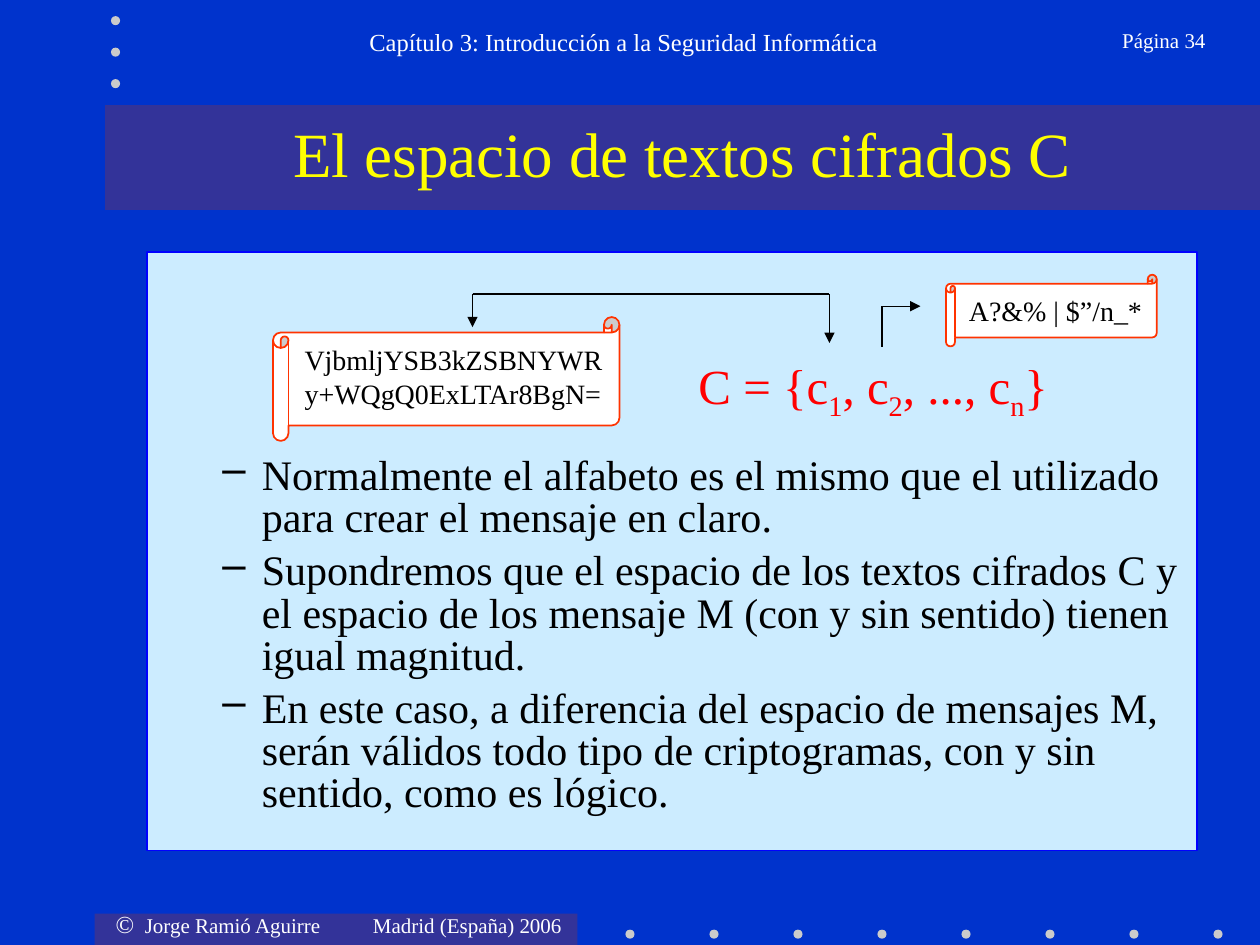
from dataclasses import dataclass

import lxml.etree
import pptx
import pptx.dml.color
import pptx.enum.shapes
import pptx.enum.text
import pptx.oxml.ns
import pptx.util

Pt = pptx.util.Pt
Shape = pptx.enum.shapes.MSO_SHAPE
Align = pptx.enum.text.PP_ALIGN
Anchor = pptx.enum.text.MSO_ANCHOR
qn = pptx.oxml.ns.qn


@dataclass(frozen=True)
class Theme:
    font: str = "Times New Roman"
    background: str = "0033CC"
    band: str = "333399"
    dot: str = "CBCBCB"
    panel: str = "CCECFF"
    panel_line: str = "0000FF"
    scroll: str = "FFFFFF"
    scroll_line: str = "FF3300"
    light: str = "FFFFFF"
    dark: str = "000000"
    title: str = "FFFF00"
    formula: str = "FF0000"
    title_size: int = 36
    formula_size: int = 28
    bullet_size: int = 24
    scroll_size: int = 16
    header_size: int = 14
    small_size: int = 12


THEME = Theme()

BULLETS = [
    "Normalmente el alfabeto es el mismo que el utilizado para crear el mensaje en claro.",
    "Supondremos que el espacio de los textos cifrados C y el espacio de los mensaje M "
    "(con y sin sentido) tienen igual magnitud.",
    "En este caso, a diferencia del espacio de mensajes M, serán válidos todo tipo de "
    "criptogramas, con y sin sentido, como es lógico.",
]
FORMULA = [("C = {c", False), ("1", True), (", c", False), ("2", True),
           (", ..., c", False), ("n", True), ("}", False)]


def rgb(value):
    return pptx.dml.color.RGBColor.from_string(value)


def add_figure(page, kind, bounds, fill, line=None, weight=0.75):
    figure = page.shapes.add_shape(kind, *map(Pt, bounds))
    figure.shadow.inherit = False
    figure.fill.solid()
    figure.fill.fore_color.rgb = rgb(fill)
    if line:
        figure.line.color.rgb = rgb(line)
        figure.line.width = Pt(weight)
    else:
        figure.line.fill.background()
    return figure


def set_frame(box, insets=(7.2, 3.6, 7.2, 3.6), anchor=Anchor.TOP, wrap=True):
    frame = box.text_frame
    frame.word_wrap = wrap
    frame.vertical_anchor = anchor
    (frame.margin_left, frame.margin_top,
     frame.margin_right, frame.margin_bottom) = map(Pt, insets)
    return frame


def add_span(para, text, size, color, subscript=False):
    span = para.add_run()
    span.text = text
    span.font.name = THEME.font
    span.font.size = Pt(size)
    span.font.color.rgb = rgb(color)
    if subscript:
        span.font._element.set("baseline", "-25000")


def add_label(page, bounds, text, size, color, align=Align.LEFT, anchor=Anchor.TOP):
    box = page.shapes.add_textbox(*map(Pt, bounds))
    para = set_frame(box, anchor=anchor).paragraphs[0]
    para.alignment = align
    add_span(para, text, size, color)


def add_dash(para, indent, hanging):
    properties = para._p.get_or_add_pPr()
    properties.set("marL", str(Pt(indent)))
    properties.set("indent", str(-Pt(hanging)))
    color = lxml.etree.SubElement(properties, qn("a:buClr"))
    lxml.etree.SubElement(color, qn("a:srgbClr"), val=THEME.dark)
    lxml.etree.SubElement(properties, qn("a:buChar"), char="–")


def add_line(page, start, end, arrow=False):
    line = page.shapes.add_connector(
        pptx.enum.shapes.MSO_CONNECTOR.STRAIGHT, *map(Pt, start + end))
    line.line.color.rgb = rgb(THEME.dark)
    line.line.width = Pt(0.75)
    properties = line._element.spPr
    if arrow:
        lxml.etree.SubElement(properties.find(qn("a:ln")), qn("a:tailEnd"), type="triangle")
    lxml.etree.SubElement(properties, qn("a:effectLst"))


def add_decoration(page):
    add_figure(page, Shape.RECTANGLE, (54, 522, 276, 18), THEME.band)
    add_figure(page, Shape.RECTANGLE, (60, 60, 660, 60), THEME.band)
    bottom_dots = [(357.4 + 48 * i, 531.2) for i in range(8)]
    side_dots = [(63.4, 9.2 + 18 * i) for i in range(3)]
    for left, top in bottom_dots + side_dots:
        add_figure(page, Shape.OVAL, (left, top, 5.2, 5.2), THEME.dot)


def add_footer(page):
    box = page.shapes.add_textbox(Pt(59), Pt(516.2), Pt(270), Pt(24.5))
    para = set_frame(box).paragraphs[0]
    tabs = lxml.etree.SubElement(para._p.get_or_add_pPr(), qn("a:tabLst"))
    for position in (16.7, 147):
        lxml.etree.SubElement(tabs, qn("a:tab"), pos=str(Pt(position)), algn="l")
    add_span(para, "©", THEME.header_size, THEME.light)
    add_span(para, "\tJorge Ramió Aguirre\tMadrid (España) 2006", THEME.small_size, THEME.light)


def add_panel(page):
    panel = add_figure(page, Shape.RECTANGLE, (84, 144, 600, 342),
                       THEME.panel, THEME.panel_line)
    frame = set_frame(panel, insets=(7.2, 117, 7.2, 3.6))
    for index, text in enumerate(BULLETS):
        para = frame.add_paragraph() if index else frame.paragraphs[0]
        add_dash(para, 58.5, 22.5)
        para.alignment = Align.LEFT
        para.line_spacing = 0.84
        if index:
            para.space_before = Pt(6)
        add_span(para, text, THEME.bullet_size, THEME.dark)


def add_formula(page):
    box = add_figure(page, Shape.RECTANGLE, (365, 199.5, 268, 45), THEME.panel)
    para = set_frame(box, wrap=False).paragraphs[0]
    para.alignment = Align.CENTER
    for text, subscript in FORMULA:
        add_span(para, text, THEME.formula_size, THEME.formula, subscript)


def add_scroll(page, bounds):
    return add_figure(page, Shape.HORIZONTAL_SCROLL, bounds,
                      THEME.scroll, THEME.scroll_line, 1)


def add_examples(page):
    add_scroll(page, (156, 181.2, 198, 70.8))
    add_label(page, (167, 192.2, 187.2, 42), "VjbmljYSB3kZSBNYWRy+WQgQ0ExLTAr8BgN=",
              THEME.scroll_size, THEME.dark)
    add_line(page, (270, 168), (474, 168))
    add_line(page, (474, 168), (474, 196), arrow=True)
    add_line(page, (270, 168), (270, 187), arrow=True)

    scroll = add_scroll(page, (540.6, 157, 120.4, 41))
    frame = set_frame(scroll, insets=(5.8,) * 4, anchor=Anchor.MIDDLE, wrap=False)
    para = frame.paragraphs[0]
    para.alignment = Align.RIGHT
    add_span(para, "A?&% | $”/n_*", THEME.scroll_size, THEME.dark)
    add_line(page, (504, 198), (504, 175))
    add_line(page, (504, 175), (526, 175), arrow=True)


def main():
    deck = pptx.Presentation()
    deck.slide_width, deck.slide_height = Pt(720), Pt(540)
    page = deck.slides.add_slide(deck.slide_layouts[6])
    page.background.fill.solid()
    page.background.fill.fore_color.rgb = rgb(THEME.background)

    add_decoration(page)
    add_footer(page)
    add_label(page, (597.6, 12, 98.4, 36), "Página 34",
              THEME.small_size, THEME.light, Align.RIGHT)
    add_panel(page)
    add_formula(page)
    add_label(page, (84, 60, 612, 54), "El espacio de textos cifrados C",
              THEME.title_size, THEME.title, Align.CENTER, Anchor.MIDDLE)
    add_examples(page)
    add_label(page, (131, 12, 451, 36), "Capítulo 3: Introducción a la Seguridad Informática",
              THEME.header_size, THEME.light, Align.CENTER)
    deck.save("out.pptx")


if __name__ == "__main__":
    main()
